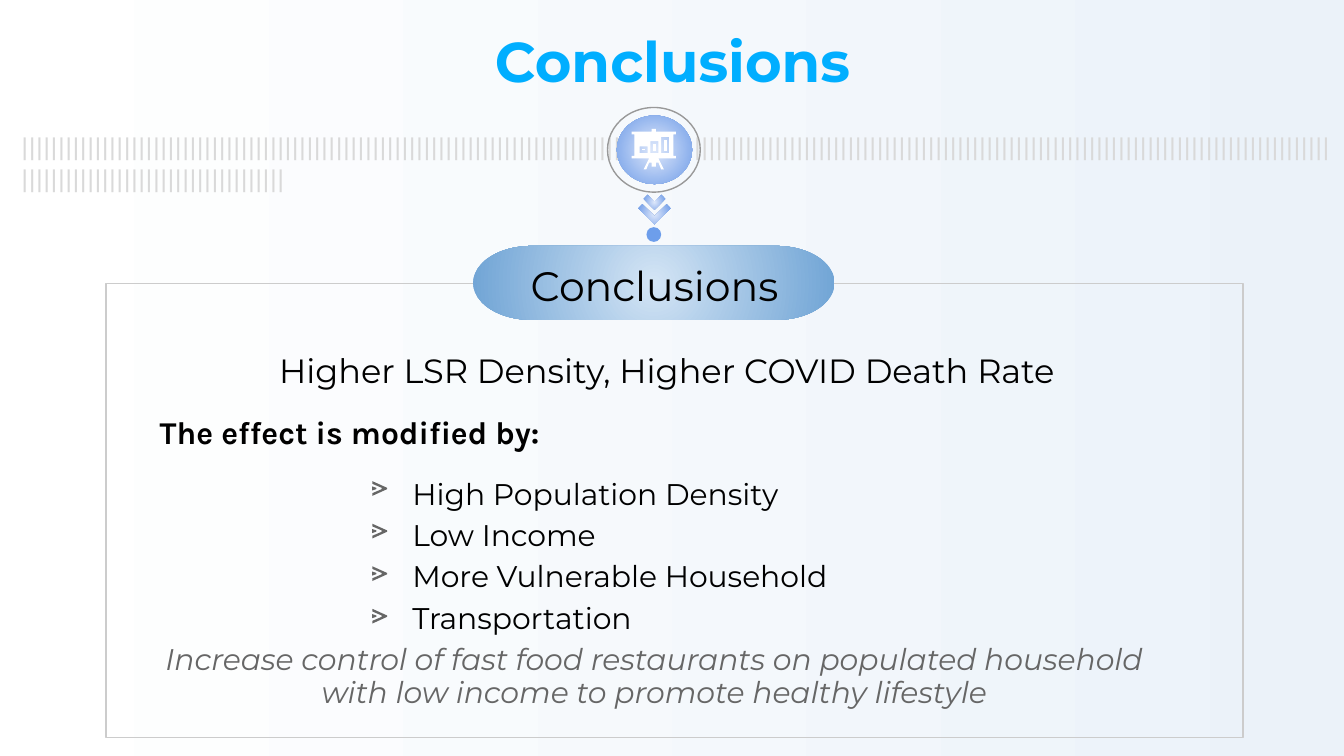
from lxml import etree
from pptx import Presentation
from pptx.dml.color import RGBColor
from pptx.enum.shapes import MSO_SHAPE as SHAPE
from pptx.enum.text import MSO_ANCHOR as ANCHOR, MSO_AUTO_SIZE as AUTO, PP_ALIGN as ALIGN
from pptx.oxml.ns import qn
from pptx.util import Inches, Pt

COLORS = {
    "title": "00AEFF", "text": "000000", "muted": "666666", "ticks": "D9D9D9",
    "frame": "CCCCCC", "ring": "999999", "white": "FFFFFF", "dot": "6D9EEB",
    "page_end": "EBF2F9", "badge_in": "DFE9FB", "badge_out": "6E9BE7",
    "pill_in": "D4E5F5", "pill_out": "70A4D5",
}
BADGE = ("badge_in", "badge_out")
PILL = ("pill_in", "pill_out")


def rgb(name):
    """Return the named colour."""
    return RGBColor.from_string(COLORS[name])


def blend(fill, names):
    """Give a fill a two-stop gradient."""
    fill.gradient()
    for stop, name in zip(fill.gradient_stops, names):
        stop.color.rgb = rgb(name)


def paint(shape, fill=None, line=None):
    """Set a solid, radial or empty fill and an optional thin line."""
    shape.shadow.inherit = False
    if isinstance(fill, tuple):
        blend(shape.fill, fill)
        linear = shape._element.spPr.find(".//" + qn("a:lin"))
        radial = etree.Element(qn("a:path"), path="circle")
        etree.SubElement(radial, qn("a:fillToRect"), dict.fromkeys("ltrb", "50000"))
        linear.getparent().replace(linear, radial)
    elif fill:
        shape.fill.solid()
        shape.fill.fore_color.rgb = rgb(fill)
    else:
        shape.fill.background()
    if line:
        shape.line.color.rgb = rgb(line)
        shape.line.width = Pt(0.75)
    else:
        shape.line.fill.background()


def add_preset(slide, kind, box, fill=None, line=None):
    """Add a painted preset shape."""
    shape = slide.shapes.add_shape(kind, *map(Inches, box))
    paint(shape, fill, line)


def add_outline(slide, left, top, contours, fill):
    """Add closed contours, relative to a corner, as one shape."""
    placed = [[(Inches(left + x), Inches(top + y)) for x, y in contour]
              for contour in contours]
    builder = slide.shapes.build_freeform(*placed[0][0])
    for index, contour in enumerate(placed):
        if index:
            builder.move_to(*contour[0])
        builder.add_line_segments(contour[1:], close=True)
    paint(builder.convert_to_shape(), fill)


def rectangle(left, top, right, bottom):
    """Return the corners of a rectangle."""
    return [(left, top), (right, top), (right, bottom), (left, bottom)]


def write(frame, lines, size, color="text", font="Montserrat", align=ALIGN.LEFT,
          spacing=None, after=None, bold=False, italic=False):
    """Fill a text frame with evenly formatted paragraphs."""
    frame.word_wrap = True
    frame.vertical_anchor = ANCHOR.TOP
    frame.margin_left = frame.margin_right = Inches(0.1)
    frame.margin_top = frame.margin_bottom = Inches(0.1)
    frame.text = "\n".join(lines)
    for paragraph in frame.paragraphs:
        paragraph.alignment = align
        paragraph.line_spacing = spacing
        paragraph.space_after = after
        for run in paragraph.runs:
            run.font.name = font
            run.font.size = Pt(size)
            run.font.bold = bold
            run.font.italic = italic
            run.font.color.rgb = rgb(color)


def add_text(slide, box, lines, size, **style):
    """Add a text box that grows with its text."""
    frame = slide.shapes.add_textbox(*map(Inches, box)).text_frame
    write(frame, lines, size, **style)
    frame.auto_size = AUTO.SHAPE_TO_FIT_TEXT


def add_title(slide, box):
    """Place and format the slide title."""
    title = slide.shapes.title
    title.left, title.top, title.width, title.height = map(Inches, box)
    write(title.text_frame, ["Conclusions"], 30, color="title",
          align=ALIGN.CENTER, bold=True)
    title.text_frame.auto_size = AUTO.NONE


def add_board_icon(slide, left, top):
    """Draw a presentation board with a three-bar chart."""
    half = [(0.18, 0), (0.18, 0.02), (0.33, 0.02), (0.33, 0.04), (0.31, 0.04),
            (0.31, 0.2), (0.33, 0.2), (0.33, 0.22), (0.2, 0.22), (0.24, 0.3),
            (0.22, 0.3), (0.2, 0.25), (0.18, 0.25), (0.18, 0.28)]
    board = half + [(0.33 - x, y) for x, y in reversed(half)]
    bars = [(0.06, 0.13), (0.14, 0.09), (0.22, 0.06)]
    windows = [rectangle(x, y, x + 0.06, 0.18) for x, y in bars]
    add_outline(slide, left, top, [board] + windows, "white")
    for x, y in bars:
        add_outline(slide, left, top,
                    [rectangle(x + 0.02, y + 0.02, x + 0.04, 0.16)], "white")


def add_chevron(slide, left, top, half, drop):
    """Draw a chevron pointing down."""
    points = [(2 * half, 0.03), (2 * half - 0.03, 0), (half, drop - 0.06),
              (0.03, 0), (0, 0.03), (half, drop)]
    add_outline(slide, left, top, [points], BADGE)


def add_badge(slide, left, top):
    """Draw the round badge with its icon, chevrons and dot."""
    add_preset(slide, SHAPE.OVAL, (left + 0.07, top + 0.06, 0.56, 0.51), BADGE)
    add_preset(slide, SHAPE.OVAL, (left, top, 0.69, 0.63), line="ring")
    add_board_icon(slide, left + 0.18, top + 0.16)
    add_chevron(slide, left + 0.23, top + 0.72, 0.12, 0.15)
    add_chevron(slide, left + 0.27, top + 0.65, 0.08, 0.11)
    add_preset(slide, SHAPE.OVAL, (left + 0.29, top + 0.89, 0.11, 0.11), "dot")


def add_pill(slide, left, top):
    """Draw the rounded heading of the frame."""
    add_preset(slide, SHAPE.FLOWCHART_TERMINATOR, (left, top, 2.69, 0.55), PILL)
    add_text(slide, (left + 0.22, top + 0.01, 2.26, 0.57), ["Conclusions"], 22,
             align=ALIGN.CENTER)


def add_findings(slide, left, top):
    """Write the findings inside the frame."""
    add_text(slide, (left + 0.91, top + 0.35, 6.59, 0.5),
             ["Higher LSR Density, Higher COVID Death Rate "], 18,
             align=ALIGN.CENTER, spacing=1.15, after=Pt(12))
    add_text(slide, (left + 0.32, top + 2.59, 7.52, 0.74),
             ["Increase control of fast food restaurants on populated household "
              "with low income to promote healthy lifestyle"], 16,
             color="muted", align=ALIGN.CENTER, spacing=0.9, italic=True)
    add_text(slide, (left + 0.3, top + 0.86, 3.48, 0.49),
             ["The effect is modified by:"], 17, font="Karla", bold=True)
    factors = ["High Population Density", "Low Income",
               "More Vulnerable Household", "Transportation"]
    add_text(slide, (left + 2.18, top + 1.29, 4.18, 1.4), factors, 16, spacing=1.15)
    arrow = [(0, 0), (0.11, 0.05), (0.11, 0.06), (0, 0.11),
             (0, 0.09), (0.07, 0.06), (0.07, 0.05), (0, 0.02)]
    core = [(0, 0.04), (0.03, 0.05), (0.03, 0.06), (0, 0.07)]
    for row in range(len(factors)):
        for contour in (arrow, core):
            add_outline(slide, left + 1.98, top + 1.47 + row * 0.95 / 3,
                        [contour], "muted")


def main():
    """Build the conclusions slide."""
    deck = Presentation()
    deck.slide_width = Inches(10)
    deck.slide_height = deck.slide_width * 9 // 16
    slide = deck.slides.add_slide(deck.slide_layouts[5])
    blend(slide.background.fill, ("white", "page_end"))
    slide.background.fill.gradient_angle = 0
    add_preset(slide, SHAPE.RECTANGLE, (0.79, 2.11, 8.46, 3.38), line="frame")
    add_text(slide, (0.06, 0.88, 10, 0.44), ["|" * 215], 14,
             color="ticks", font="Karla")
    add_title(slide, (1.83, 0.1, 6.35, 0.63))
    add_badge(slide, 4.52, 0.8)
    add_pill(slide, 3.52, 1.83)
    add_findings(slide, 0.79, 2.11)
    deck.save("out.pptx")


if __name__ == "__main__":
    main()
